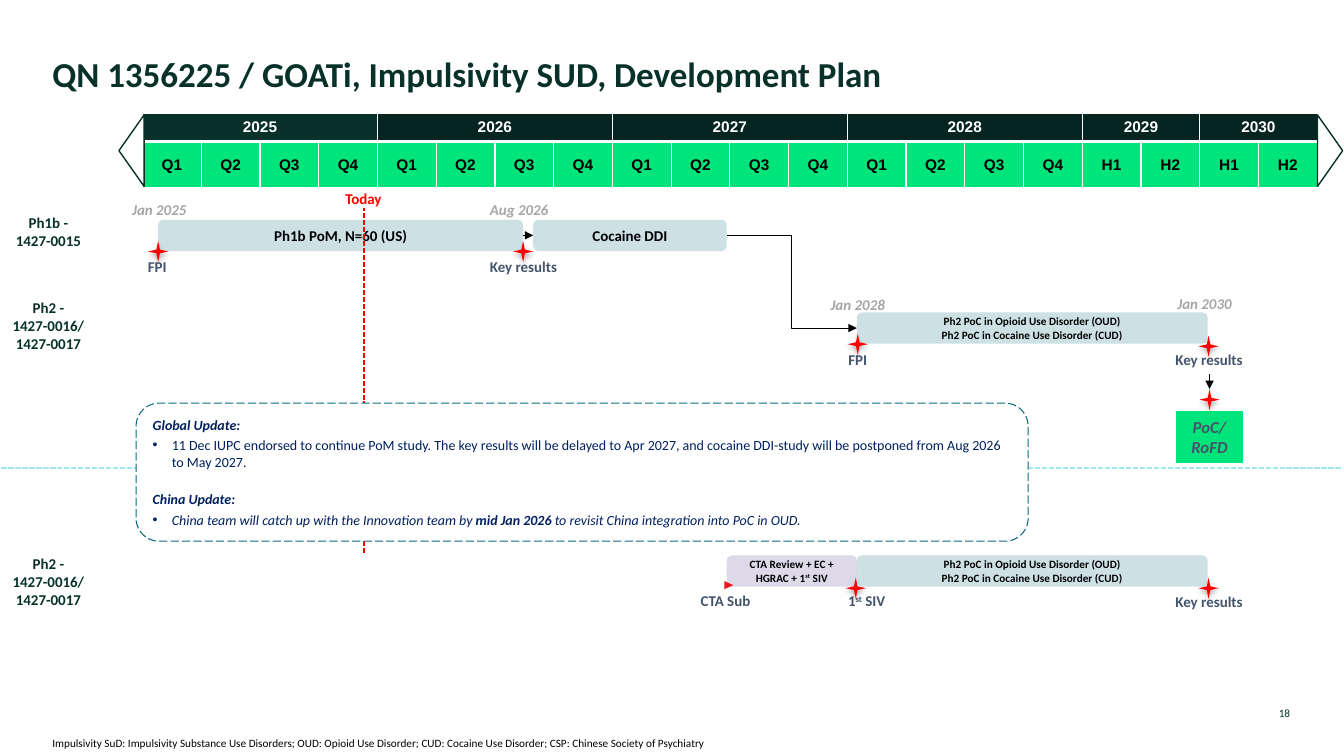
from dataclasses import dataclass

from lxml import etree
from pptx import Presentation
from pptx.dml.color import RGBColor
from pptx.enum.dml import MSO_LINE
from pptx.enum.shapes import MSO_CONNECTOR, MSO_SHAPE
from pptx.enum.text import MSO_ANCHOR, MSO_AUTO_SIZE, PP_ALIGN
from pptx.oxml.ns import qn
from pptx.util import Pt

STRAIGHT, ELBOW = MSO_CONNECTOR.STRAIGHT, MSO_CONNECTOR.ELBOW
SHORT_DASH, LONG_DASH = MSO_LINE.SQUARE_DOT, MSO_LINE.LONG_DASH
RECT, ROUNDED, TRIANGLE = MSO_SHAPE.RECTANGLE, MSO_SHAPE.ROUNDED_RECTANGLE, MSO_SHAPE.ISOSCELES_TRIANGLE
STAR, MERGE = MSO_SHAPE.STAR_4_POINT, MSO_SHAPE.FLOWCHART_MERGE
TOP, MIDDLE, BOTTOM = MSO_ANCHOR.TOP, MSO_ANCHOR.MIDDLE, MSO_ANCHOR.BOTTOM
LEFT, CENTER, RIGHT = PP_ALIGN.LEFT, PP_ALIGN.CENTER, PP_ALIGN.RIGHT

WHITE, BLACK = RGBColor(255, 255, 255), RGBColor(0, 0, 0)
FOREST, DARK_FOREST = RGBColor(0x08, 0x31, 0x2A), RGBColor(0x06, 0x25, 0x20)
GREEN, TEAL = RGBColor(0x00, 0xE4, 0x7C), RGBColor(0x07, 0x6D, 0x7E)
PURPLE, CYAN = RGBColor(0x5D, 0x44, 0x95), RGBColor(0xA3, 0xE5, 0xEE)
RED, FLAG_RED = RGBColor(0xFF, 0, 0), RGBColor(0xEA, 0x16, 0x1E)
SLATE, GREY, NAVY = RGBColor(0x44, 0x54, 0x6A), RGBColor(0xA6, 0xA6, 0xA6), RGBColor(0, 0x20, 0x60)

LINE_HEIGHT = 13
LABEL_WIDTH = 74


@dataclass
class Label:
    center: float
    top: float
    lines: tuple
    color: RGBColor = SLATE
    italic: bool = False


@dataclass
class Bar:
    left: float
    top: float
    width: float
    lines: tuple
    size: float = 8
    color: RGBColor = TEAL


PH2 = ("Ph2 PoC in Opioid Use Disorder (OUD)", "Ph2 PoC in Cocaine Use Disorder (CUD)")
PH2_ROW = ("Ph2 -", "1427-0016/", "1427-0017")
BARS = [
    Bar(113, 157, 260.7, ("Ph1b PoM, N=60 (US)",), 10.7),
    Bar(380.9, 157, 138.2, ("Cocaine DDI",), 10.7),
    Bar(612, 223.2, 250.6, PH2),
    Bar(519.1, 396.7, 92.9, ("CTA Review + EC + HGRAC + 1^st^ SIV",), color=PURPLE),
    Bar(612, 396.7, 250.6, PH2),
]
LABELS = [
    Label(34.6, 152.6, ("Ph1b -", "1427-0015"), FOREST),
    Label(34.6, 213.1, PH2_ROW, FOREST),
    Label(34.6, 396, PH2_ROW, FOREST),
    Label(113.8, 143.3, ("Jan 2025",), GREY, True),
    Label(370.8, 143.3, ("Aug 2026",), GREY, True),
    Label(612.7, 211, ("Jan 2028",), GREY, True),
    Label(860.4, 210.2, ("Jan 2030",), GREY, True),
    Label(112.3, 183.6, ("FPI",)),
    Label(373.9, 183.6, ("Key results",)),
    Label(612.7, 250.6, ("FPI",)),
    Label(863.6, 250.6, ("Key results",)),
    Label(518.2, 422.6, ("CTA Sub",)),
    Label(619, 422.6, ("1^st^ SIV",)),
    Label(863.6, 423.4, ("Key results",)),
    Label(259.6, 135.4, ("Today",), RED),
]
STARS = [(113, 172.1), (373.7, 172.1), (612.7, 238.3), (863.3, 239.8),
         (864, 277.9), (611.3, 412.6), (863.3, 412.6)]
PERIODS = [("2025", "Q", 4), ("2026", "Q", 4), ("2027", "Q", 4),
           ("2028", "Q", 4), ("2029", "H", 2), ("2030", "H", 2)]


def add_runs(p, text: str, size: float, color: RGBColor, **extra) -> None:
    fmt = {"name": "Calibri", "size": Pt(size), "bold": True, "italic": False, **extra}
    for i, piece in enumerate(text.split("^")):
        r = p.add_run()
        r.text = piece
        r.font.color.rgb = color
        for key, value in fmt.items():
            setattr(r.font, key, value)
        if i % 2:
            r._r.get_or_add_rPr().set("baseline", "30000")


def format_frame(tf, anchor, side: float = 0, edge: float = 0) -> None:
    fmt = {"word_wrap": True, "auto_size": MSO_AUTO_SIZE.NONE, "vertical_anchor": anchor,
           "margin_left": Pt(side), "margin_right": Pt(side),
           "margin_top": Pt(edge), "margin_bottom": Pt(edge)}
    for key, value in fmt.items():
        setattr(tf, key, value)


def write_lines(tf, lines: tuple, size: float, color: RGBColor, align=CENTER, **extra) -> None:
    for i, line in enumerate(lines):
        p = tf.add_paragraph() if i else tf.paragraphs[0]
        p.alignment = align
        add_runs(p, line, size, color, **extra)


def place(sp, left: float, top: float, width: float, height: float) -> None:
    for key, value in zip(("left", "top", "width", "height"), (left, top, width, height)):
        setattr(sp, key, Pt(value))


def add_box(s, kind, box: tuple, fill: RGBColor, line=None, weight: float = 1, rotation: float = 0):
    sp = s.shapes.add_shape(kind, *map(Pt, box))
    sp.shadow.inherit = False
    sp.rotation = rotation
    sp.fill.solid()
    sp.fill.fore_color.rgb = fill
    if line is None:
        sp.line.fill.background()
    else:
        sp.line.color.rgb = line
        sp.line.width = Pt(weight)
    return sp


def add_bar(s, bar: Bar):
    sp = add_box(s, ROUNDED, (bar.left, bar.top, bar.width, 22.3), bar.color)
    color = sp._element.spPr.find(".//" + qn("a:srgbClr"))
    etree.SubElement(color, qn("a:alpha"), val="20000")
    format_frame(sp.text_frame, MIDDLE, 7.2)
    write_lines(sp.text_frame, bar.lines, bar.size, BLACK)
    return sp


def add_label(s, label: Label) -> None:
    box = (label.center - LABEL_WIDTH / 2, label.top, LABEL_WIDTH, LINE_HEIGHT * len(label.lines))
    tf = s.shapes.add_textbox(*map(Pt, box)).text_frame
    format_frame(tf, MIDDLE)
    write_lines(tf, label.lines, 10.7, label.color, italic=label.italic)


def add_star(s, center: float, top: float) -> None:
    sp = add_box(s, STAR, (center - 7.2, top, 14.4, 15.1), RED)
    sp.adjustments[0] = 0.125
    effects = sp._element.spPr.find(qn("a:effectLst"))
    shadow = etree.SubElement(effects, qn("a:outerShdw"), blurRad=str(Pt(3.5)),
                              dist=str(Pt(2.2)), dir="5400000", rotWithShape="0")
    color = etree.SubElement(shadow, qn("a:srgbClr"), val="000000")
    etree.SubElement(color, qn("a:alpha"), val="32000")


def add_line(s, kind, ends: tuple, color: RGBColor, weight: float, dash=None, joined=None):
    cn = s.shapes.add_connector(kind, *map(Pt, ends))
    if joined:
        cn.begin_connect(joined[0], 3)
        cn.end_connect(joined[1], 1)
    cn.line.color.rgb = color
    cn.line.width = Pt(weight)
    if dash is None:
        etree.SubElement(cn.line._get_or_add_ln(), qn("a:tailEnd"), type="triangle")
    else:
        cn.line.dash_style = dash
    etree.SubElement(cn._element.spPr, qn("a:effectLst"))


def fill_cell(cell, text: str, fill: RGBColor, color: RGBColor, top: float, bottom: float) -> None:
    cell.fill.solid()
    cell.fill.fore_color.rgb = fill
    cell.vertical_anchor = MIDDLE
    if text:
        write_lines(cell.text_frame, (text,), 11, color, name="Arial")
    borders = {"a:lnL": 1, "a:lnR": 1, "a:lnT": top, "a:lnB": bottom}
    for i, (tag, weight) in enumerate(borders.items()):
        ln = etree.Element(qn(tag), w=str(Pt(weight)))
        etree.SubElement(etree.SubElement(ln, qn("a:solidFill")), qn("a:srgbClr"), val=str(WHITE))
        cell._tc.get_or_add_tcPr().insert(i, ln)


def add_calendar(s) -> None:
    columns = sum(count for _, _, count in PERIODS)
    tbl = s.shapes.add_table(2, columns, Pt(101.8), Pt(80.9), Pt(839.4), Pt(53.3)).table
    tbl.first_row = tbl.horz_banding = False
    for row, height in zip(tbl.rows, (20.2, 33.1)):
        row.height = Pt(height)
    start = 0
    for year, prefix, count in PERIODS:
        fill = DARK_FOREST if start else FOREST
        for i in range(count):
            fill_cell(tbl.cell(0, start + i), "" if i else year, fill, WHITE, 1, 3)
            fill_cell(tbl.cell(1, start + i), f"{prefix}{i + 1}", GREEN, BLACK, 3, 1)
        tbl.cell(0, start).merge(tbl.cell(0, start + count - 1))
        start += count


def add_updates(s) -> None:
    sp = add_box(s, ROUNDED, (97.2, 288, 637.2, 98.6), WHITE, TEAL, 0.75)
    sp.line.dash_style = LONG_DASH
    tf = sp.text_frame
    format_frame(tf, MIDDLE, 7.2, 3.6)
    plain, slanted, strong = {"bold": False}, {"bold": False, "italic": True}, {"italic": True}
    updates = [
        (False, 0, 2.7, [("Global Update:", strong)]),
        (True, 0, 0, [("11 Dec IUPC endorsed to continue PoM study. The key results will be delayed to Apr 2027, "
                       "and cocaine DDI-study will be postponed from Aug 2026 to May 2027.", plain)]),
        (False, 14.7, 2.7, [("China Update:", strong)]),
        (True, 0, 2.7, [("China team will catch up with the Innovation team by ", slanted),
                        ("mid Jan 2026 ", strong),
                        ("to revisit China integration into PoC in OUD.", slanted)]),
    ]
    for i, (bullet, before, after, runs) in enumerate(updates):
        p = tf.add_paragraph() if i else tf.paragraphs[0]
        fmt = {"alignment": LEFT, "line_spacing": Pt(12), "space_before": Pt(before), "space_after": Pt(after)}
        for key, value in fmt.items():
            setattr(p, key, value)
        if bullet:
            pPr = p._p.get_or_add_pPr()
            pPr.set("marL", str(Pt(13.7)))
            pPr.set("indent", str(-Pt(13.7)))
            etree.SubElement(pPr, qn("a:buFont"), typeface="Arial")
            etree.SubElement(pPr, qn("a:buChar"), char="•")
        for text, extra in runs:
            add_runs(p, text, 10, NAVY, **extra)


def main() -> None:
    prs = Presentation()
    prs.slide_width, prs.slide_height = Pt(960), Pt(540)
    s = prs.slides.add_slide(prs.slide_layouts[1])

    title, footnote = s.shapes.title, s.placeholders[1]
    place(title, 37.4, 37.4, 884.2, 56.9)
    format_frame(title.text_frame, TOP)
    write_lines(title.text_frame, ("QN 1356225 / GOATi, Impulsivity SUD, Development Plan",), 25, FOREST, LEFT)
    place(footnote, 37.4, 524.2, 884.2, 11.5)
    format_frame(footnote.text_frame, BOTTOM)
    write_lines(footnote.text_frame, (
        "Impulsivity SuD: Impulsivity Substance Use Disorders; OUD: Opioid Use Disorder; "
        "CUD: Cocaine Use Disorder; CSP: Chinese Society of Psychiatry",), 8, BLACK, LEFT, bold=False)
    p = footnote.text_frame.paragraphs[0]
    p.space_before = Pt(0)
    pPr = p._p.get_or_add_pPr()
    pPr.set("marL", "0")
    pPr.set("indent", "0")
    etree.SubElement(pPr, qn("a:buNone"))

    number = s.shapes.add_textbox(Pt(899.3), Pt(491.8), Pt(22.3), Pt(22.3)).text_frame
    format_frame(number, BOTTOM)
    write_lines(number, ("18",), 8, FOREST, RIGHT, bold=False)

    add_calendar(s)
    add_line(s, STRAIGHT, (957.6, 334.1, 0, 334.1), CYAN, 1.25, SHORT_DASH)
    for left, rotation in ((68.4, 270), (924.5, 90)):
        add_box(s, TRIANGLE, (left, 98.6, 51.1, 18), WHITE, FOREST, rotation=rotation)

    pom, ddi, poc, *_ = [add_bar(s, bar) for bar in BARS]
    for label in LABELS:
        add_label(s, label)
    add_line(s, STRAIGHT, (259.9, 395.3, 259.9, 148.3), RED, 1.25, SHORT_DASH)
    add_box(s, MERGE, (517.7, 414.7, 5.8, 6.5), FLAG_RED, rotation=270)
    for center, top in STARS:
        add_star(s, center, top)

    decision = add_box(s, RECT, (840.2, 293.8, 47.5, 36.4), GREEN, GREEN, 0.75)
    format_frame(decision.text_frame, TOP, 7.2, 3.6)
    write_lines(decision.text_frame, ("PoC/RoFD",), 12, SLATE, italic=True)

    add_line(s, STRAIGHT, (864, 267.1, 864, 277.9), BLACK, 0.5)
    add_line(s, STRAIGHT, (373.7, 168.2, 380.9, 168.2), BLACK, 0.5, joined=(pom, ddi))
    add_line(s, ELBOW, (519.1, 168.2, 612, 234.4), BLACK, 0.5, joined=(ddi, poc))
    add_updates(s)
    prs.save("out.pptx")


if __name__ == "__main__":
    main()
